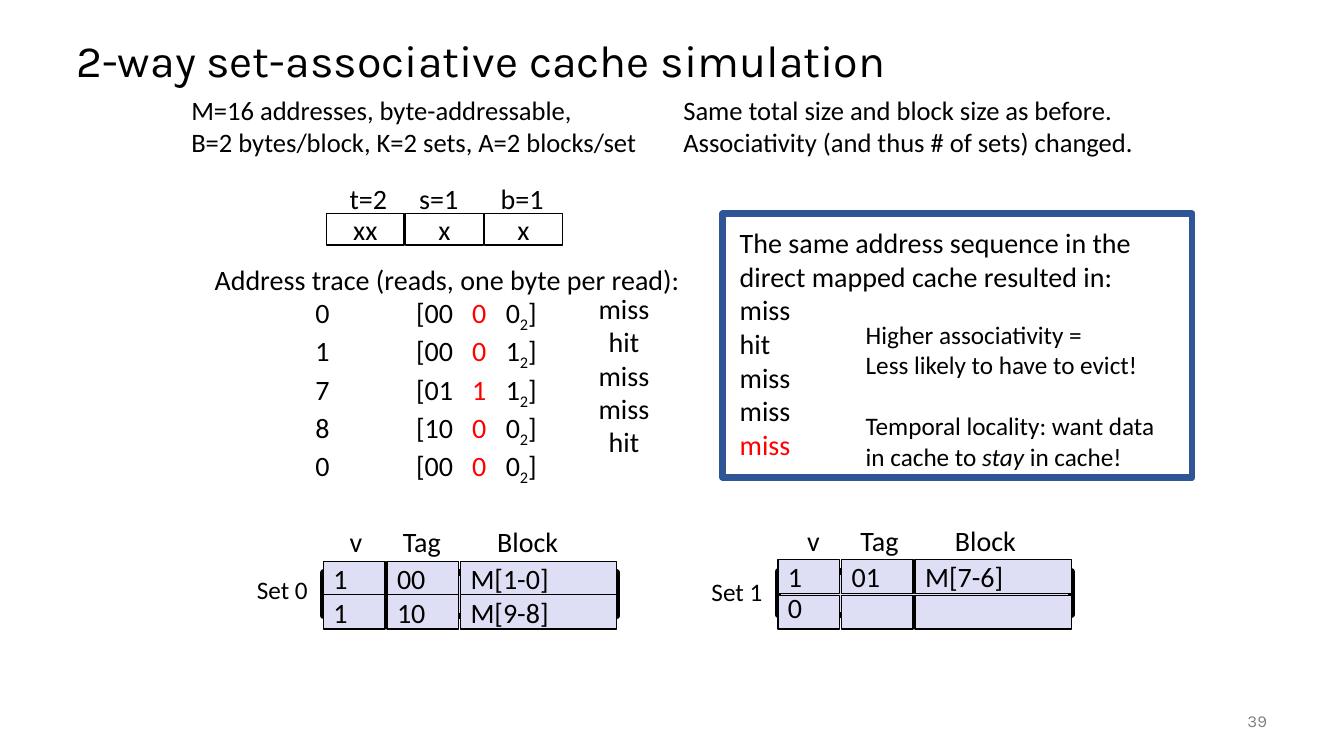
from lxml import etree
from pptx import Presentation
from pptx.dml.color import RGBColor
from pptx.enum import shapes, text
from pptx.oxml import ns
from pptx.util import Pt

COLORS = {"ink": "000000", "red": "FF0000", "cell": "DEDFF5", "white": "FFFFFF",
          "frame": "2F5597", "gray": "808080"}
LEFT, CENTER, RIGHT = text.PP_ALIGN.LEFT, text.PP_ALIGN.CENTER, text.PP_ALIGN.RIGHT
MIDDLE = text.MSO_ANCHOR.MIDDLE

deck = Presentation()
deck.slide_width, deck.slide_height = Pt(960), Pt(540)
slide = deck.slides.add_slide(deck.slide_layouts[6])


def write(box, paragraphs, size=20, font="Calibri", color="ink", wrap=False,
          anchor=text.MSO_ANCHOR.TOP, **formats):
    """Fill a box; a paragraph is a list of (text, style) runs, "\\n" a line break."""
    frame = box.text_frame
    frame.word_wrap, frame.vertical_anchor = wrap, anchor
    for index, runs in enumerate(paragraphs):
        paragraph = frame.add_paragraph() if index else frame.paragraphs[0]
        for name, value in formats.items():
            setattr(paragraph, name, value)
        for words, style in runs:
            if words == "\n":
                paragraph.add_line_break()
                continue
            run = paragraph.add_run()
            run.text = words
            for name, value in {"size": Pt(size), "name": font,
                                "italic": style == "italic" or None}.items():
                setattr(run.font, name, value)
            run.font.color.rgb = RGBColor.from_string(COLORS["red" if style == "red" else color])
            if style == "sub":
                run.font._element.set("baseline", "-25000")
    return frame


def rectangle(left, top, width, height, fill, line="ink", weight=1):
    shape = slide.shapes.add_shape(shapes.MSO_SHAPE.RECTANGLE,
                                   Pt(left), Pt(top), Pt(width), Pt(height))
    shape.shadow.inherit = False
    if fill:
        shape.fill.solid()
        shape.fill.fore_color.rgb = RGBColor.from_string(COLORS[fill])
    else:
        shape.fill.background()
    shape.line.color.rgb = RGBColor.from_string(COLORS[line])
    shape.line.width = Pt(weight)
    return shape


textbox = slide.shapes.add_textbox

# Title and cache parameters
write(textbox(Pt(47.5), Pt(18), Pt(864), Pt(54)),
      [[("2-way set-associative cache simulation", "")]],
      size=32, font="Karla", wrap=True, anchor=MIDDLE, line_spacing=0.9)
for left, width, lines in (
    (129.6, 344, ("M=16 addresses, byte-addressable,",
                  "B=2 bytes/block, K=2 sets, A=2 blocks/set")),
    (481, 348, ("Same total size and block size as before.",
                "Associativity (and thus # of sets) changed.")),
):
    write(textbox(Pt(left), Pt(63.4), Pt(width), Pt(53.3)),
          [[(line, "")] for line in lines], size=19)

# Address fields
for column, (heading, left, width, bits) in enumerate((
    ("t=2", 242.6, 41.8, "xx"), ("s=1", 292.3, 43.9, "x"), ("b=1", 350.6, 46.1, "x"),
)):
    write(textbox(Pt(left), Pt(126), Pt(width), Pt(31)), [[(heading, "")]])
    write(rectangle(233.3 + 56.5 * column, 152.6, 55.4, 22.3, "white"),
          [[(bits, "")]], anchor=MIDDLE, alignment=CENTER)

# Address trace with its hits and misses
trace = [("0", "00", "0", "0", "miss"), ("1", "00", "0", "1", "hit"),
         ("7", "01", "1", "1", "miss"), ("8", "10", "0", "0", "miss"),
         ("0", "00", "0", "0", "hit")]
reads = [[("Address trace (reads, one byte per read):", "")]]
for address, tag, set_bit, offset, _ in trace:
    reads.append([(f"\t{address}\t[{tag}\t", ""), (f"{set_bit}\t", "red"),
                  (offset, ""), ("2", "sub"), ("]", "")])
trace_frame = write(textbox(Pt(146.2), Pt(183.6), Pt(360), Pt(152.6)), reads, wrap=True)
for read in trace_frame.paragraphs[1:]:
    stops = etree.SubElement(read._p.get_or_add_pPr(), ns.qn("a:tabLst"))
    for position in (72, 144, 184, 208):
        etree.SubElement(stops, ns.qn("a:tab"), pos=str(Pt(position)), algn="l")

result_widths = {"miss": 51.8, "hit": 37.4}
for row, (*_, result) in enumerate(trace):
    width = result_widths[result]
    write(textbox(Pt(446.4 - width / 2), Pt(212.2 + 23.8 * row), Pt(width), Pt(24.5)),
          [[(result, "")]], line_spacing=0.65)

# Cache sets
columns = [("v", 0, 23.8, 0, 44), ("Tag", 38, 42.5, 45.4, 51.1),
           ("Block", 105.5, 59.8, 97.9, 111.6)]
cache_sets = [
    ("Set 0", 231.1, 409, 242.6, 370.8, 406.8,
     [(401, 24.5, ("1", "00", "M[1-0]")), (424.8, 24.5, ("1", "10", "M[9-8]"))]),
    ("Set 1", 555.8, 408.2, 569.5, 370.1, 408.2,
     [(399.6, 24.5, ("1", "01", "M[7-6]")), (425.5, 23.8, ("0", "", ""))]),
]
for label, left, back_top, heading_left, heading_top, label_top, rows in cache_sets:
    rectangle(left, back_top, 209.5, 31, "cell", weight=4.5)
    write(textbox(Pt(left - 54.7), Pt(label_top), Pt(51.8), Pt(28.8)),
          [[(label, "")]], size=18)
    for heading, shift, width, _, _ in columns:
        write(textbox(Pt(heading_left + shift), Pt(heading_top), Pt(width), Pt(31)),
              [[(heading, "")]])
    for top, height, values in rows:
        for value, (_, _, _, shift, width) in zip(values, columns):
            cell = rectangle(left + shift, top, width, height, "cell")
            if value:
                write(cell, [[(value, "")]], anchor=MIDDLE, alignment=LEFT,
                      line_spacing=0.65 if value == "0" else None)

# Comparison with the direct mapped cache
rectangle(516.2, 152.6, 335.5, 188.6, None, "frame", 4.5)
write(textbox(Pt(521.3), Pt(157.7), Pt(324.7), Pt(176.4)),
      [[("The same address sequence in the", ""), ("\n", ""),
        ("direct mapped cache resulted in:", "")],
       [("miss", "")], [("hit", "")], [("miss", "")], [("miss", "")], [("miss", "red")]],
      wrap=True)
lesson = write(textbox(Pt(611.3), Pt(224.6), Pt(228.2), Pt(116.6)),
               [[("Higher associativity =", "")],
                [("Less likely to have to evict!", "")],
                [("Temporal locality: want data", ""), ("\n", ""),
                 ("in cache to ", ""), ("stay", "italic"), (" in cache!", "")]], size=18)
lesson.paragraphs[2].space_before = Pt(22)

# Page number
write(textbox(Pt(840.2), Pt(500.4), Pt(72), Pt(28.8)), [[("39", "")]],
      size=12, font="Karla", color="gray", wrap=True, anchor=MIDDLE, alignment=RIGHT)

deck.save("out.pptx")
